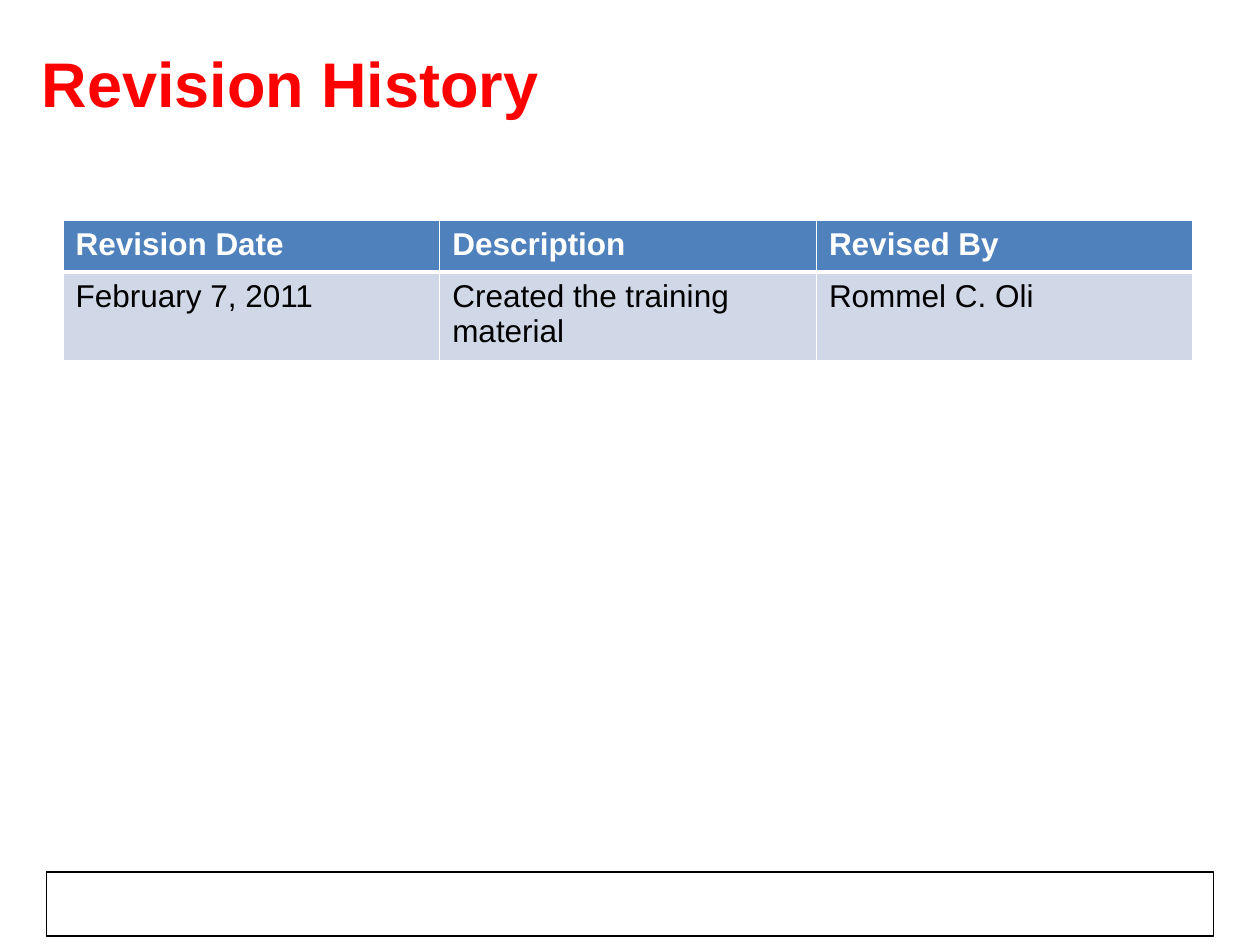
import pptx
import pptx.dml.color
import pptx.enum.shapes
import pptx.enum.text
import pptx.oxml
import pptx.oxml.ns
import pptx.util

TITLE = "Revision History"
ROWS = [
    ("Revision Date", "Description", "Revised By"),
    ("February 7, 2011", "Created the training material", "Rommel C. Oli"),
]
ROW_HEIGHTS = (0.41, 0.7)
COLUMN_WIDTH = 2.99
COLORS = {"title": "FF0000", "header": "4F81BD", "body": "D0D8E8",
          "white": "FFFFFF", "black": "000000"}
FONT = "Arial"
Inches, Pt = pptx.util.Inches, pptx.util.Pt


def color(name):
    return pptx.dml.color.RGBColor.from_string(COLORS[name])


def style_font(font, size, color_name, bold):
    font.name = FONT
    font.size = Pt(size)
    font.bold = bold
    font.color.rgb = color(color_name)


def add_borders(cell, widths):
    """Draw white cell borders; widths maps a side (L, R, T, B) to points."""
    properties = cell._tc.get_or_add_tcPr()
    for side, width in widths.items():
        properties.append(pptx.oxml.parse_xml(
            f'<a:ln{side} {pptx.oxml.ns.nsdecls("a")} w="{Pt(width)}">'
            f'<a:solidFill><a:srgbClr val="{COLORS["white"]}"/></a:solidFill>'
            f'</a:ln{side}>'))


def add_footer_frame(page):
    frame = page.shapes.add_shape(
        pptx.enum.shapes.MSO_SHAPE.RECTANGLE,
        Inches(0.37), Inches(6.92), Inches(9.26), Inches(0.51))
    frame.shadow.inherit = False
    frame.fill.background()
    frame.line.color.rgb = color("black")
    frame.line.width = Pt(0.75)


def set_title(page):
    title = page.shapes.title
    title.left, title.top = Inches(0.23), Inches(0.3)
    title.width, title.height = Inches(7.11), Inches(1.25)
    frame = title.text_frame
    frame.text = TITLE
    frame.word_wrap = True
    frame.vertical_anchor = pptx.enum.text.MSO_ANCHOR.TOP
    para = frame.paragraphs[0]
    para.alignment = pptx.enum.text.PP_ALIGN.LEFT
    style_font(para.runs[0].font, 36, "title", True)


def add_revision_table(page):
    columns = len(ROWS[0])
    table = page.shapes.add_table(
        len(ROWS), columns, Inches(0.5), Inches(1.75),
        Inches(COLUMN_WIDTH * columns), Inches(sum(ROW_HEIGHTS))).table
    for column in table.columns:
        column.width = Inches(COLUMN_WIDTH)
    for r, texts in enumerate(ROWS):
        header = r == 0
        table.rows[r].height = Inches(ROW_HEIGHTS[r])
        widths = {"L": 1, "R": 1, "T": 1 if header else 3, "B": 3 if header else 1}
        for c, text in enumerate(texts):
            cell = table.cell(r, c)
            add_borders(cell, widths)
            cell.fill.solid()
            cell.fill.fore_color.rgb = color("header" if header else "body")
            cell.text_frame.text = text
            style_font(cell.text_frame.paragraphs[0].runs[0].font, 18,
                       "white" if header else "black", header)


def main():
    deck = pptx.Presentation()
    deck.slide_width, deck.slide_height = Inches(10), Inches(7.5)
    page = deck.slides.add_slide(deck.slide_layouts.get_by_name("Title Only"))
    add_footer_frame(page)
    set_title(page)
    add_revision_table(page)
    deck.save("out.pptx")


if __name__ == "__main__":
    main()
